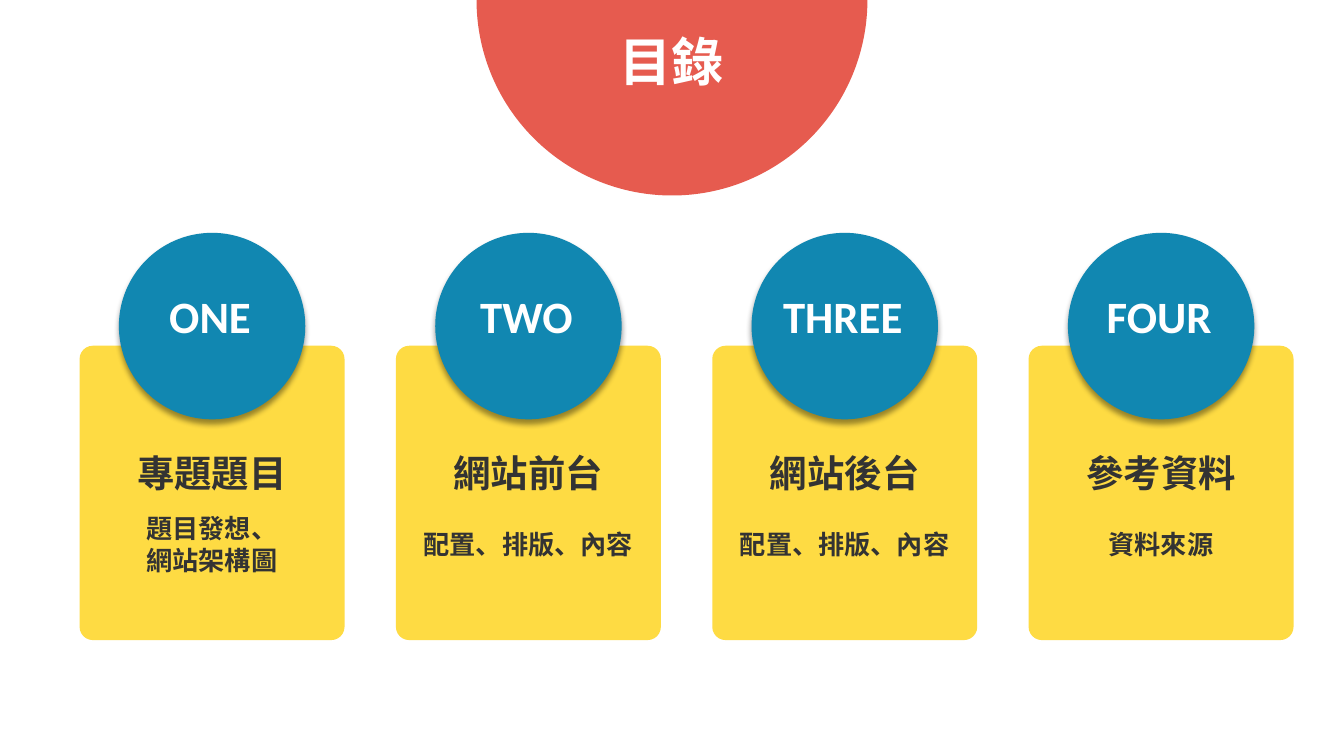
from dataclasses import dataclass

from lxml import etree
from pptx import Presentation
from pptx.dml.color import RGBColor
from pptx.enum.shapes import MSO_SHAPE
from pptx.enum.text import MSO_AUTO_SIZE, PP_ALIGN
from pptx.oxml.ns import qn
from pptx.util import Inches, Pt

ROUND, OVAL = MSO_SHAPE.ROUNDED_RECTANGLE, MSO_SHAPE.OVAL
LEFT, CENTER = PP_ALIGN.LEFT, PP_ALIGN.CENTER

HEADING = "目錄"
TOPICS = [
    ("ONE", "專題題目", ["題目發想、", "網站架構圖"]),
    ("TWO", "網站前台", ["配置、排版、內容"]),
    ("THREE", "網站後台", ["配置、排版、內容"]),
    ("FOUR", "參考資料", ["資料來源"]),
]


@dataclass(frozen=True)
class Theme:
    font: str = "Calibri"
    red: str = "E65B4F"
    blue: str = "1187B1"
    yellow: str = "FEDB43"
    white: str = "FFFFFF"
    dark: str = "333333"
    head: float = 37.3
    label: float = 32
    title: float = 26.7
    note: float = 18.7


THEME = Theme()
WIDTH, HEIGHT = 13.34, 7.5
DOME = 3.88
CARD_X, CARD_Y, CARD_W, CARD_H, PITCH = 0.79, 3.43, 2.63, 2.92, 3.14
DISC_Y, DISC = 2.31, 1.85
NOTE_MID, CHAR_W, LINE_H = 5.4, 0.26, 0.31


def box(mid, top, width, height):
    """Turn a centre line, top and size into lengths."""
    return [Inches(n) for n in (mid - width / 2, top, width, height)]


def add_form(shapes, kind, area, color):
    form = shapes.add_shape(kind, *area)
    form.shadow.inherit = False
    form.fill.solid()
    form.fill.fore_color.rgb = RGBColor.from_string(color)
    form.line.fill.background()
    return form


def add_text(shapes, area, lines, size, color, align=CENTER, wrap=False, space=None):
    frame = shapes.add_textbox(*area).text_frame
    frame.word_wrap = wrap
    frame.auto_size = MSO_AUTO_SIZE.SHAPE_TO_FIT_TEXT
    for i, line in enumerate(lines):
        para = frame.add_paragraph() if i else frame.paragraphs[0]
        para.alignment = align
        if space:
            para.line_spacing = space
        run = para.add_run()
        run.text = line
        run.font.name = THEME.font
        run.font.size = Pt(size)
        run.font.bold = True
        run.font.color.rgb = RGBColor.from_string(color)


def add_shade(form):
    """Cast a soft shadow straight down."""
    effects = form.element.spPr.find(qn("a:effectLst"))
    shade = etree.SubElement(
        effects, qn("a:outerShdw"), blurRad=str(Pt(4)), dist=str(Pt(3)),
        dir="5400000", algn="t", rotWithShape="0")
    color = etree.SubElement(shade, qn("a:srgbClr"), val="000000")
    etree.SubElement(color, qn("a:alpha"), val="40000")


def add_topic(shapes, mid, label, title, note):
    card = add_form(shapes, ROUND, box(mid, CARD_Y, CARD_W, CARD_H), THEME.yellow)
    card.adjustments[0] = 0.05
    badge = shapes.add_group_shape().shapes
    add_shade(add_form(badge, OVAL, box(mid, DISC_Y, DISC, DISC), THEME.blue))
    add_text(badge, box(mid - 0.02, 2.82, 1.42, 0.64), [label],
             THEME.label, THEME.white)
    add_text(shapes, box(mid, 4.28, 2.57, 0.64), [title],
             THEME.title, THEME.dark, wrap=True, space=1.3)
    width = max(map(len, note)) * CHAR_W + 0.2
    height = len(note) * LINE_H + 0.11
    add_text(shapes, box(mid, NOTE_MID - height / 2, width, height), note,
             THEME.note, THEME.dark, LEFT)


def main():
    deck = Presentation()
    deck.slide_width, deck.slide_height = Inches(WIDTH), Inches(HEIGHT)
    shapes = deck.slides.add_slide(deck.slide_layouts[6]).shapes
    for i, topic in enumerate(TOPICS):
        add_topic(shapes, CARD_X + CARD_W / 2 + i * PITCH, *topic)
    dome = shapes.add_group_shape().shapes
    add_form(dome, OVAL, box(WIDTH / 2, -DOME / 2, DOME, DOME), THEME.red)
    add_text(dome, box(WIDTH / 2, 0.24, 1.25, 0.73), [HEADING],
             THEME.head, THEME.white)
    deck.save("out.pptx")


if __name__ == "__main__":
    main()
